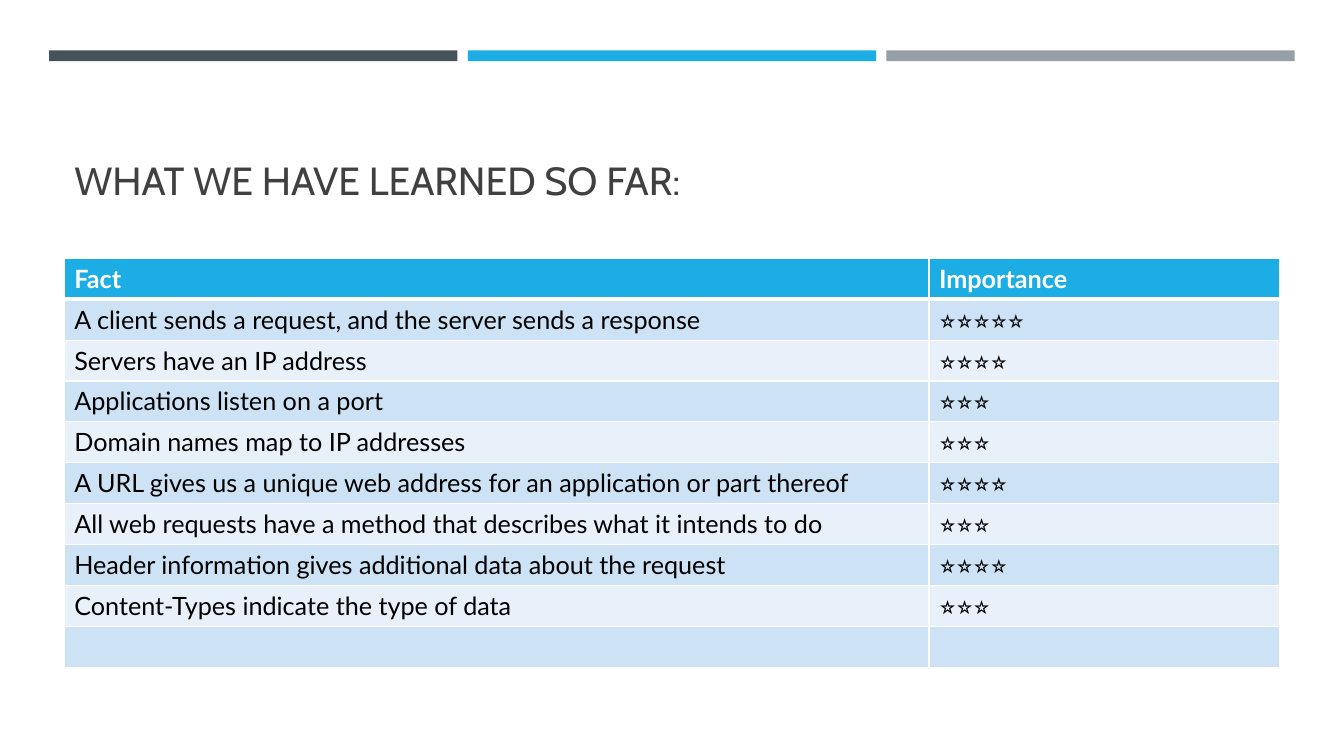
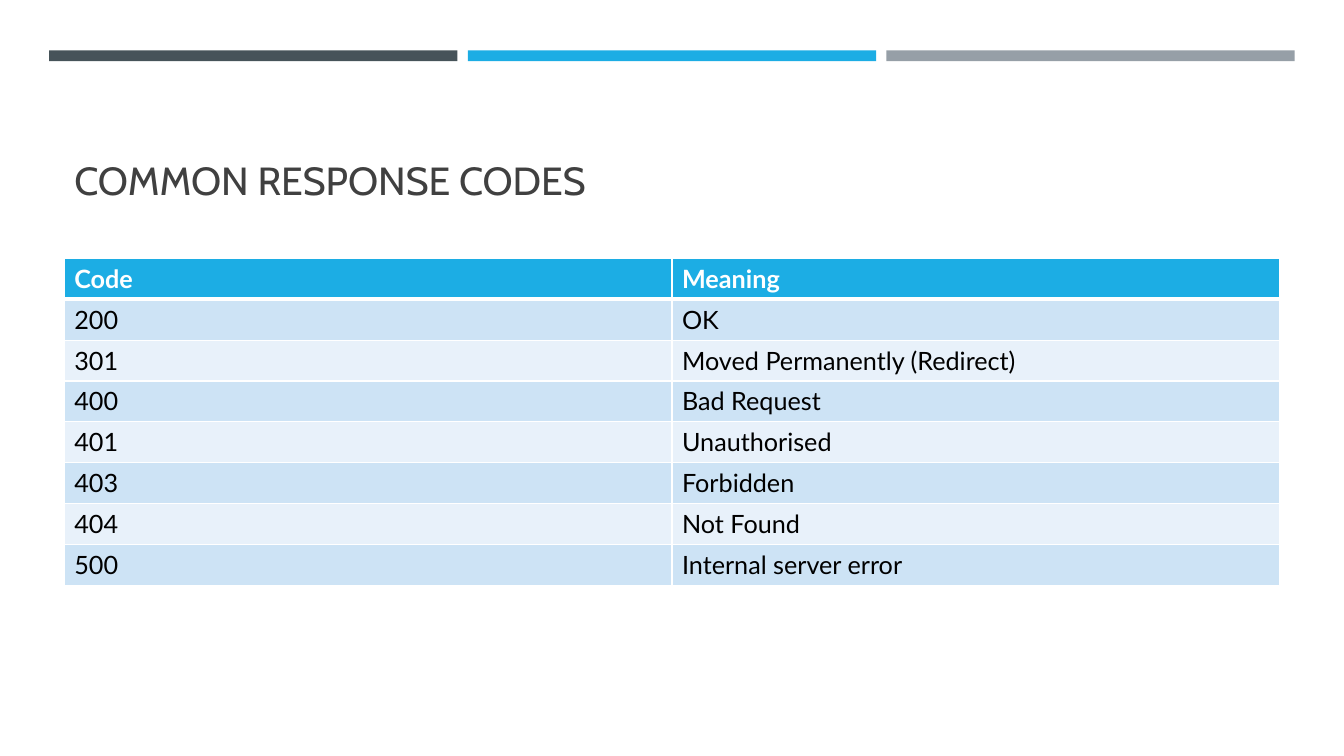
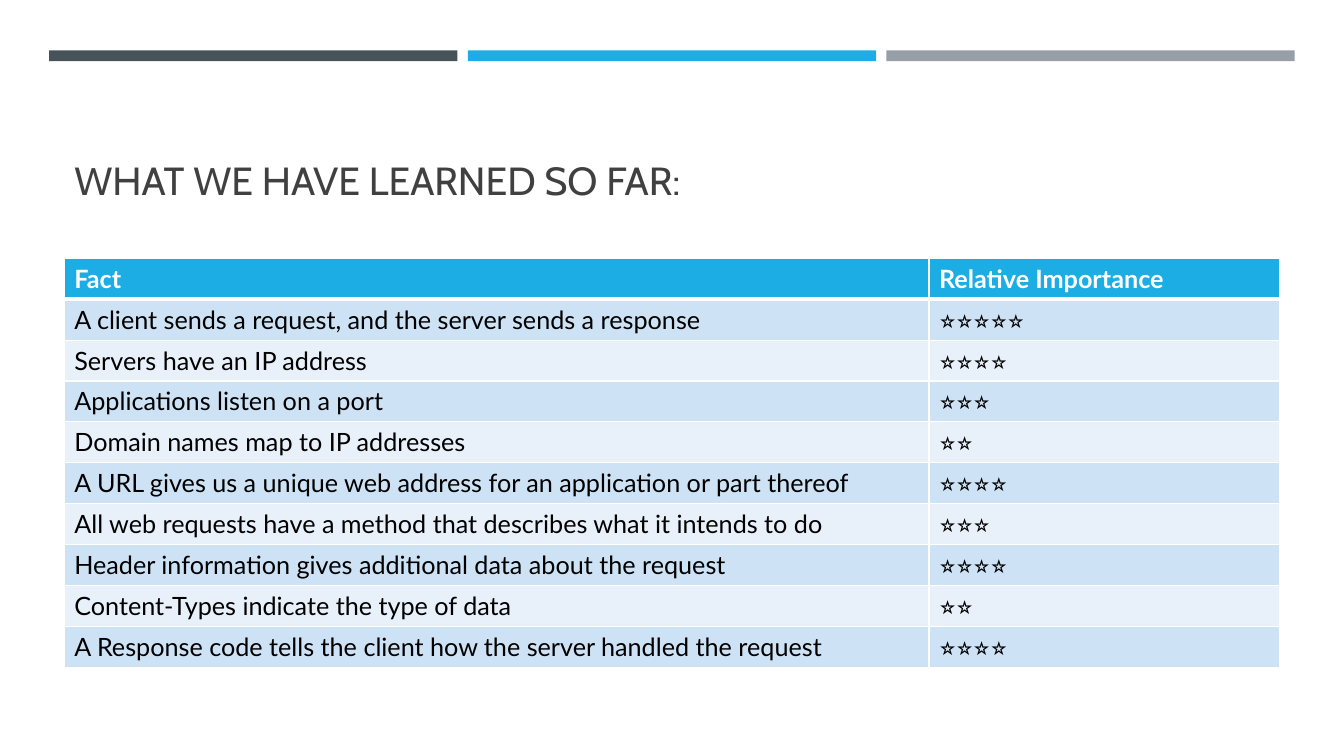
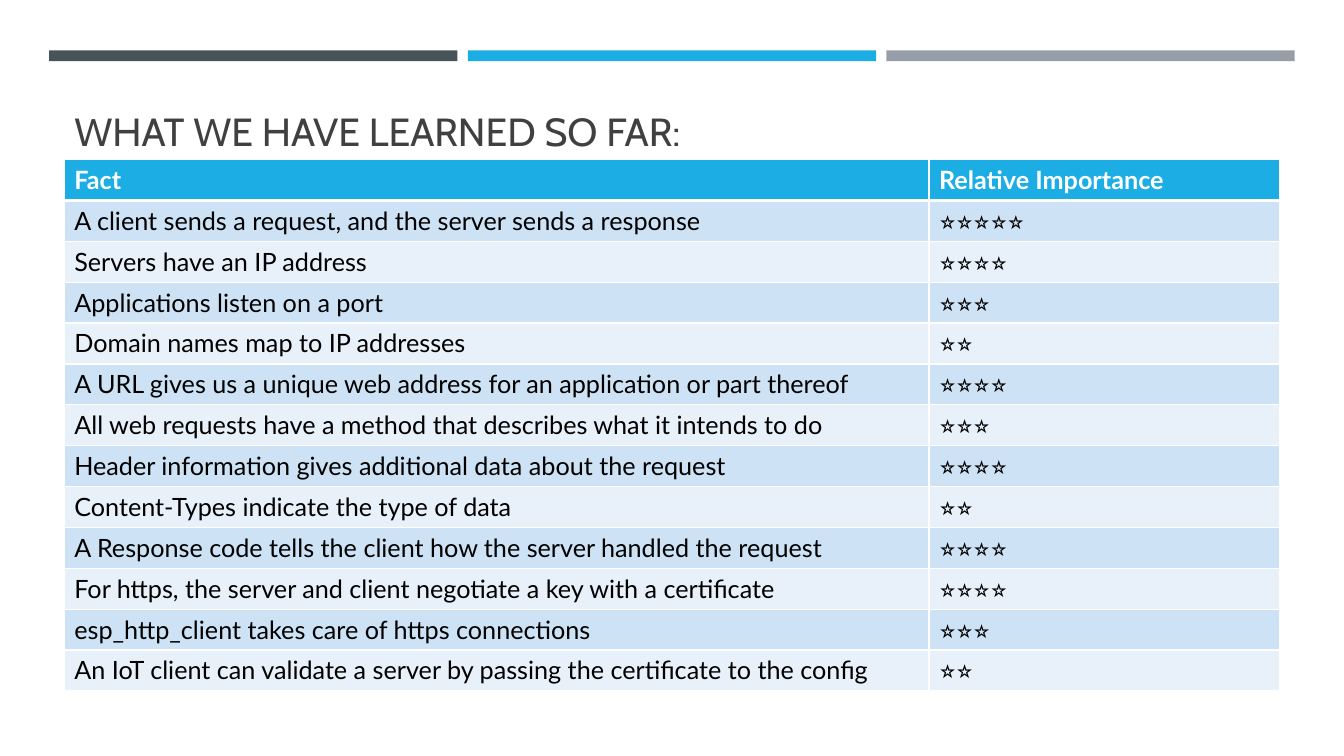
from dataclasses import dataclass

from lxml.etree import SubElement
from pptx import Presentation
from pptx.dml.color import RGBColor
from pptx.enum.shapes import MSO_SHAPE as Preset
from pptx.enum.text import MSO_ANCHOR as Anchor, MSO_AUTO_SIZE as AutoSize, PP_ALIGN as Align
from pptx.oxml.ns import qn
from pptx.presentation import Presentation as Deck
from pptx.slide import Slide
from pptx.table import _Cell as Cell
from pptx.util import Cm, Pt


@dataclass(frozen=True)
class Theme:
    """Colours, fonts and type sizes shared by all slides."""
    bands: tuple[str, ...] = ("465359", "1CADE4", "969FA7")
    title_colour: str = "404040"
    header_fill: str = "1CADE4"
    row_fills: tuple[str, ...] = ("CDE3F5", "E8F1FA")
    header_text: str = "FFFFFF"
    body_text: str = "000000"
    border: str = "FFFFFF"
    title_font: str = "Cabin"
    body_font: str = "Lato"
    title_size: int = 28
    body_size: int = 18
    thin_border: int = 1
    header_border: int = 3


@dataclass(frozen=True)
class TableSlide:
    title: str
    header: tuple[str, str]
    rows: list[tuple[str, str]]
    first_column: float = 21.79
    title_top: float = 1.96
    table_top: float = 6.51


THEME = Theme()

# Shared measures in centimetres
SLIDE_WIDTH, SLIDE_HEIGHT = 33.87, 19.05
CONTENT_LEFT, CONTENT_WIDTH = 1.62, 30.63
TITLE_HEIGHT = 3.3
ROW_HEIGHT = 1.03
BAND_LEFT, BAND_TOP = 1.24, 1.27
BAND_WIDTH, BAND_HEIGHT, BAND_GAP = 10.29, 0.27, 0.26

# Content
FACTS = (
    "A client sends a request, and the server sends a response",
    "Servers have an IP address",
    "Applications listen on a port",
    "Domain names map to IP addresses",
    "A URL gives us a unique web address for an application or part thereof",
    "All web requests have a method that describes what it intends to do",
    "Header information gives additional data about the request",
    "Content-Types indicate the type of data",
    "A Response code tells the client how the server handled the request",
    "For https, the server and client negotiate a key with a certificate",
    "esp_http_client takes care of https connections",
    "An IoT client can validate a server by passing the certificate to the config",
)
FIRST_RATINGS = (5, 4, 3, 3, 4, 3, 4, 3)
FINAL_RATINGS = (5, 4, 3, 2, 4, 3, 4, 2, 4, 4, 3, 2)
RESPONSE_CODES = [
    ("200", "OK"),
    ("301", "Moved Permanently (Redirect)"),
    ("400", "Bad Request"),
    ("401", "Unauthorised"),
    ("403", "Forbidden"),
    ("404", "Not Found"),
    ("500", "Internal server error"),
]
LEARNED = "WHAT WE HAVE LEARNED SO FAR:"
RELATIVE = ("Fact", "Relative Importance")


def rated_facts(ratings: tuple[int, ...]) -> list[tuple[str, str]]:
    return [(fact, "⭐" * stars) for fact, stars in zip(FACTS, ratings)]


SLIDES = (
    TableSlide(LEARNED, ("Fact", "Importance"), rated_facts(FIRST_RATINGS) + [("", "")]),
    TableSlide("COMMON RESPONSE CODES", ("Code", "Meaning"), RESPONSE_CODES,
               first_column=CONTENT_WIDTH / 2),
    TableSlide(LEARNED, RELATIVE, rated_facts(FINAL_RATINGS[:9])),
    TableSlide(LEARNED, RELATIVE, rated_facts(FINAL_RATINGS), title_top=0.71, table_top=4.02),
)


def rgb(colour: str) -> RGBColor:
    return RGBColor.from_string(colour)


# Bands across the top
def draw_bands(page: Slide) -> None:
    for index, colour in enumerate(THEME.bands):
        left = BAND_LEFT + index * (BAND_WIDTH + BAND_GAP)
        band = page.shapes.add_shape(Preset.RECTANGLE, Cm(left), Cm(BAND_TOP),
                                     Cm(BAND_WIDTH), Cm(BAND_HEIGHT))
        band.shadow.inherit = False
        band.fill.solid()
        band.fill.fore_color.rgb = rgb(colour)
        band.line.fill.background()


# Title
def set_title(page: Slide, text: str, top: float) -> None:
    title = page.shapes.title
    title.left, title.top = Cm(CONTENT_LEFT), Cm(top)
    title.width, title.height = Cm(CONTENT_WIDTH), Cm(TITLE_HEIGHT)
    frame = title.text_frame
    frame.text = text
    frame.word_wrap = True
    frame.auto_size = AutoSize.NONE
    frame.vertical_anchor = Anchor.BOTTOM
    para = frame.paragraphs[0]
    para.alignment = Align.LEFT
    font = para.runs[0].font
    font.name, font.size = THEME.title_font, Pt(THEME.title_size)
    font.color.rgb = rgb(THEME.title_colour)


# Table
def set_borders(cell: Cell, top: int, bottom: int) -> None:
    thin = THEME.thin_border
    properties = cell._tc.get_or_add_tcPr()
    for side, width in (("L", thin), ("R", thin), ("T", top), ("B", bottom)):
        line = SubElement(properties, qn(f"a:ln{side}"), w=str(Pt(width)))
        fill = SubElement(line, qn("a:solidFill"))
        SubElement(fill, qn("a:srgbClr"), val=THEME.border)


def set_cell(cell: Cell, text: str, row: int) -> None:
    is_header = row == 0
    thin, thick = THEME.thin_border, THEME.header_border
    set_borders(cell, thick if row == 1 else thin, thick if is_header else thin)
    fill = THEME.header_fill if is_header else THEME.row_fills[(row - 1) % 2]
    cell.fill.solid()
    cell.fill.fore_color.rgb = rgb(fill)
    cell.text_frame.text = text
    for span in cell.text_frame.paragraphs[0].runs:
        span.font.name, span.font.size = THEME.body_font, Pt(THEME.body_size)
        span.font.bold = is_header
        span.font.color.rgb = rgb(THEME.header_text if is_header else THEME.body_text)


def draw_table(page: Slide, content: TableSlide) -> None:
    rows = [content.header, *content.rows]
    table = page.shapes.add_table(
        len(rows), len(content.header), Cm(CONTENT_LEFT), Cm(content.table_top),
        Cm(CONTENT_WIDTH), Cm(ROW_HEIGHT * len(rows))).table
    table.columns[0].width = Cm(content.first_column)
    table.columns[1].width = Cm(CONTENT_WIDTH - content.first_column)
    for row, texts in enumerate(rows):
        table.rows[row].height = Cm(ROW_HEIGHT)
        for column, text in enumerate(texts):
            set_cell(table.cell(row, column), text, row)


def add_page(deck: Deck, content: TableSlide) -> None:
    page = deck.slides.add_slide(deck.slide_layouts.get_by_name("Title Only"))
    draw_bands(page)
    set_title(page, content.title, content.title_top)
    draw_table(page, content)


def main() -> None:
    deck = Presentation()
    deck.slide_width, deck.slide_height = Cm(SLIDE_WIDTH), Cm(SLIDE_HEIGHT)
    for content in SLIDES:
        add_page(deck, content)
    deck.save("out.pptx")


if __name__ == "__main__":
    main()
